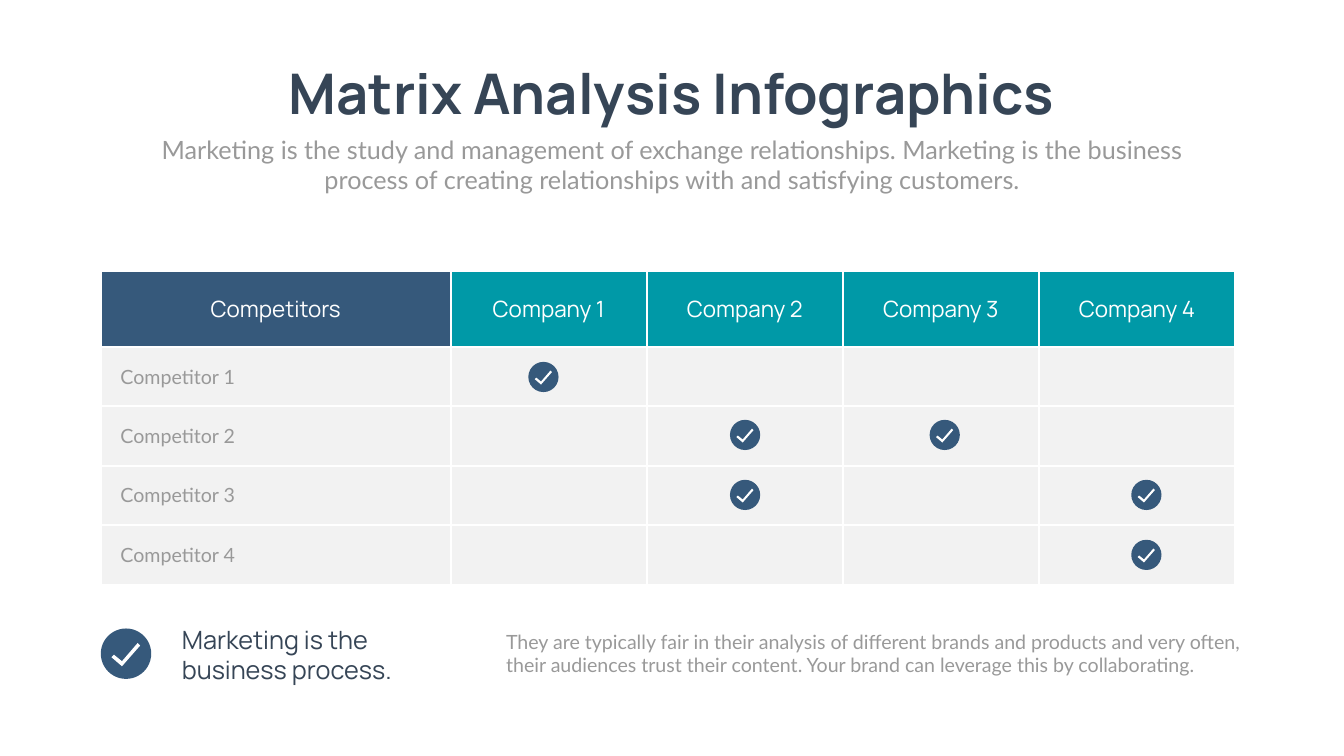
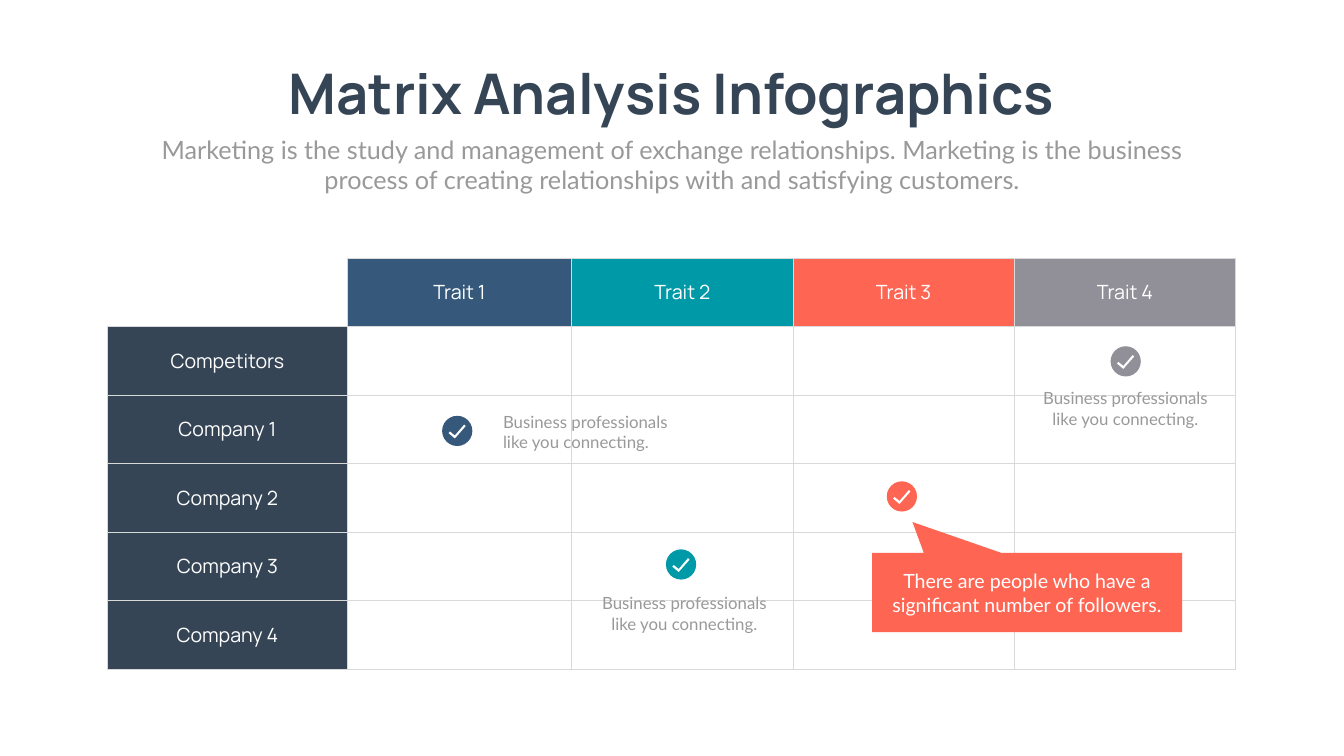
import pptx
import pptx.dml.color
import pptx.enum.shapes
import pptx.enum.text
import pptx.oxml
import pptx.oxml.ns
import pptx.util
from pptx.util import Inches

COLORS = {
    "navy": "36597B",
    "teal": "0099A7",
    "coral": "FE6653",
    "steel": "919098",
    "ink": "364556",
    "grey": "999999",
    "light": "F2F2F2",
    "rule": "D9D9D9",
    "white": "FFFFFF",
}
RGB = {name: pptx.dml.color.RGBColor.from_string(value) for name, value in COLORS.items()}
CENTER = pptx.enum.text.PP_ALIGN.CENTER
LEFT = pptx.enum.text.PP_ALIGN.LEFT
SHAPE = pptx.enum.shapes.MSO_SHAPE

STYLES = {
    "title": {"name": "Manrope", "size": pptx.util.Pt(80), "bold": True},
    "intro": {"name": "Lato", "size": pptx.util.Pt(36)},
    "legend": {"name": "Manrope", "size": pptx.util.Pt(36)},
    "company": {"name": "Manrope", "size": pptx.util.Pt(32)},
    "trait": {"name": "Manrope", "size": pptx.util.Pt(28)},
    "body": {"name": "Lato", "size": pptx.util.Pt(28)},
    "note": {"name": "Lato", "size": pptx.util.Pt(24)},
}

# Corners of the tick as shares of the disc's diameter
TICK = [(0.73, 0.29), (0.78, 0.34), (0.42, 0.75), (0.21, 0.57), (0.26, 0.52), (0.42, 0.65)]

TITLE = "Matrix Analysis Infographics"
INTRO = ("Marketing is the study and management of exchange relationships. Marketing is the "
         "business process of creating relationships with and satisfying customers.")
NOTE = "Business professionals like you connecting."

MATRICES = [
    {
        "origin": (2, 5.37),
        "columns": [6.94] + [3.89] * 4,
        "rows": [1.51] + [1.18] * 4,
        "header": ["Competitors"] + [f"Company {n}" for n in range(1, 5)],
        "header_fills": ["navy"] + ["teal"] * 4,
        "header_look": ("company", "white", CENTER),
        "header_margins": (0.14, 0.07, 0.14, 0.07),
        "labels": [f"Competitor {n}" for n in range(1, 5)],
        "label_fill": "light",
        "label_look": ("body", "grey", LEFT),
        "label_margins": (0.39, 0.05, 0.1, 0.05),
        "body_fill": "light",
        "border": ("white", 3),
        "checks": [
            (10.48, 7.18, 0.6, "navy"),
            (14.48, 8.33, 0.6, "navy"),
            (14.48, 9.52, 0.6, "navy"),
            (18.44, 8.33, 0.6, "navy"),
            (22.44, 9.52, 0.6, "navy"),
            (22.44, 10.71, 0.6, "navy"),
            (2, 12.47, 1, "navy"),
        ],
        "texts": [
            ("Marketing is the business process.", (3.51, 12.34, 5.26, 1.31),
             "legend", "ink", LEFT),
            ("They are typically fair in their analysis of different brands and products and "
             "very often, their audiences trust their content. Your brand can leverage this by "
             "collaborating.", (9.94, 12.44, 14.98, 1.04), "body", "grey", LEFT),
        ],
    },
    {
        "origin": (2.13, 5.12),
        "columns": [4.76, 4.45] + [4.39] * 3,
        "rows": [1.36] * 6,
        "header": [""] + [f"Trait {n}" for n in range(1, 5)],
        "header_fills": ["white", "navy", "teal", "coral", "steel"],
        "header_look": ("trait", "white", CENTER),
        "header_margins": (0.1, 0.05, 0.1, 0.05),
        "labels": ["Competitors"] + [f"Company {n}" for n in range(1, 5)],
        "label_fill": "ink",
        "label_look": ("trait", "white", CENTER),
        "label_margins": (0.1, 0.05, 0.1, 0.05),
        "body_fill": "white",
        "border": ("rule", 1),
        "checks": [
            (8.77, 8.25, 0.6, "navy"),
            (13.21, 10.9, 0.6, "teal"),
            (17.59, 9.55, 0.6, "coral"),
            (22.03, 6.87, 0.6, "steel"),
        ],
        "texts": [
            (NOTE, (9.88, 8.11, 3.97, 0.91), "note", "grey", LEFT),
            (NOTE, (20.34, 7.65, 3.97, 0.91), "note", "grey", CENTER),
            (NOTE, (11.59, 11.72, 3.97, 0.91), "note", "grey", CENTER),
        ],
    },
]


def write(frame, words, style, color, align):
    """Fill a text frame with one formatted paragraph."""
    paragraph = frame.paragraphs[0]
    paragraph.alignment = align
    run = paragraph.add_run()
    run.text = words
    for attribute, value in STYLES[style].items():
        setattr(run.font, attribute, value)
    run.font.color.rgb = RGB[color]


def add_text(shapes, words, box, style, color, align, wrap=True):
    frame = shapes.add_textbox(*map(Inches, box)).text_frame
    frame.word_wrap = wrap
    frame.auto_size = pptx.enum.text.MSO_AUTO_SIZE.SHAPE_TO_FIT_TEXT
    write(frame, words, style, color, align)


prs = pptx.Presentation()
prs.slide_width, prs.slide_height = Inches(26.66), Inches(15)
slides = [prs.slides.add_slide(prs.slide_layouts[6]) for _ in MATRICES]

for slide, matrix in zip(slides, MATRICES):
    # Matrix
    columns, rows = matrix["columns"], matrix["rows"]
    table = slide.shapes.add_table(
        len(rows), len(columns), *map(Inches, (*matrix["origin"], sum(columns), sum(rows)))).table
    table.first_row = table.horz_banding = False
    for column, width in zip(table.columns, columns):
        column.width = Inches(width)
    for row, height in zip(table.rows, rows):
        row.height = Inches(height)

    border_color, border_width = matrix["border"]
    for r in range(len(rows)):
        for c in range(len(columns)):
            cell = table.cell(r, c)
            if r == 0:
                words, fill, part = matrix["header"][c], matrix["header_fills"][c], "header"
            elif c == 0:
                words, fill, part = matrix["labels"][r - 1], matrix["label_fill"], "label"
            else:
                words, fill, part = "", matrix["body_fill"], None
            cell.fill.solid()
            cell.fill.fore_color.rgb = RGB[fill]
            if words:
                cell.vertical_anchor = pptx.enum.text.MSO_ANCHOR.MIDDLE
                for side, margin in zip(("left", "top", "right", "bottom"),
                                        matrix[f"{part}_margins"]):
                    setattr(cell, f"margin_{side}", Inches(margin))
                write(cell.text_frame, words, *matrix[f"{part}_look"])

            # The empty corner is open at its left and top
            open_corner = r == c == 0 and not words
            cell_properties = cell._tc.get_or_add_tcPr()
            for position, side in enumerate("LRTB"):
                if open_corner and side in "LT":
                    line_fill = "<a:noFill/>"
                else:
                    line_fill = (f'<a:solidFill><a:srgbClr val="{COLORS[border_color]}"/>'
                                 '</a:solidFill>')
                cell_properties.insert(position, pptx.oxml.parse_xml(
                    f'<a:ln{side} {pptx.oxml.ns.nsdecls("a")} '
                    f'w="{pptx.util.Pt(border_width)}">{line_fill}</a:ln{side}>'))

    # Check marks
    for left, top, size, color in matrix["checks"]:
        check = slide.shapes.add_group_shape().shapes
        disc = check.add_shape(SHAPE.OVAL, *map(Inches, (left, top, size, size)))
        corners = [(Inches(left + x * size), Inches(top + y * size)) for x, y in TICK]
        outline = check.build_freeform(*corners[0])
        outline.add_line_segments(corners[1:])
        tick = outline.convert_to_shape()
        for piece, fill in ((disc, color), (tick, "white")):
            piece.shadow.inherit = False
            piece.fill.solid()
            piece.fill.fore_color.rgb = RGB[fill]
            piece.line.fill.background()

# Callout on the coral check mark
callout = slides[1].shapes.add_group_shape().shapes
bubble = callout.add_shape(SHAPE.RECTANGULAR_CALLOUT, *map(Inches, (17.3, 10.97, 6.15, 1.57)))
bubble.adjustments[0], bubble.adjustments[1] = -0.37, -0.89
bubble.shadow.inherit = False
bubble.fill.solid()
bubble.fill.fore_color.rgb = RGB["coral"]
bubble.line.fill.background()
add_text(callout, "There are people who have a significant number of followers.",
         (17.34, 11.24, 6.06, 1.04), "body", "white", CENTER)

# Notes and headings
for slide, matrix in zip(slides, MATRICES):
    for text in matrix["texts"]:
        add_text(slide.shapes, *text)
    add_text(slide.shapes, TITLE, (4.97, 1.12, 16.71, 1.45), "title", "ink", CENTER, wrap=False)
    add_text(slide.shapes, INTRO, (2.92, 2.61, 20.82, 1.31), "intro", "grey", CENTER)

prs.save("out.pptx")
